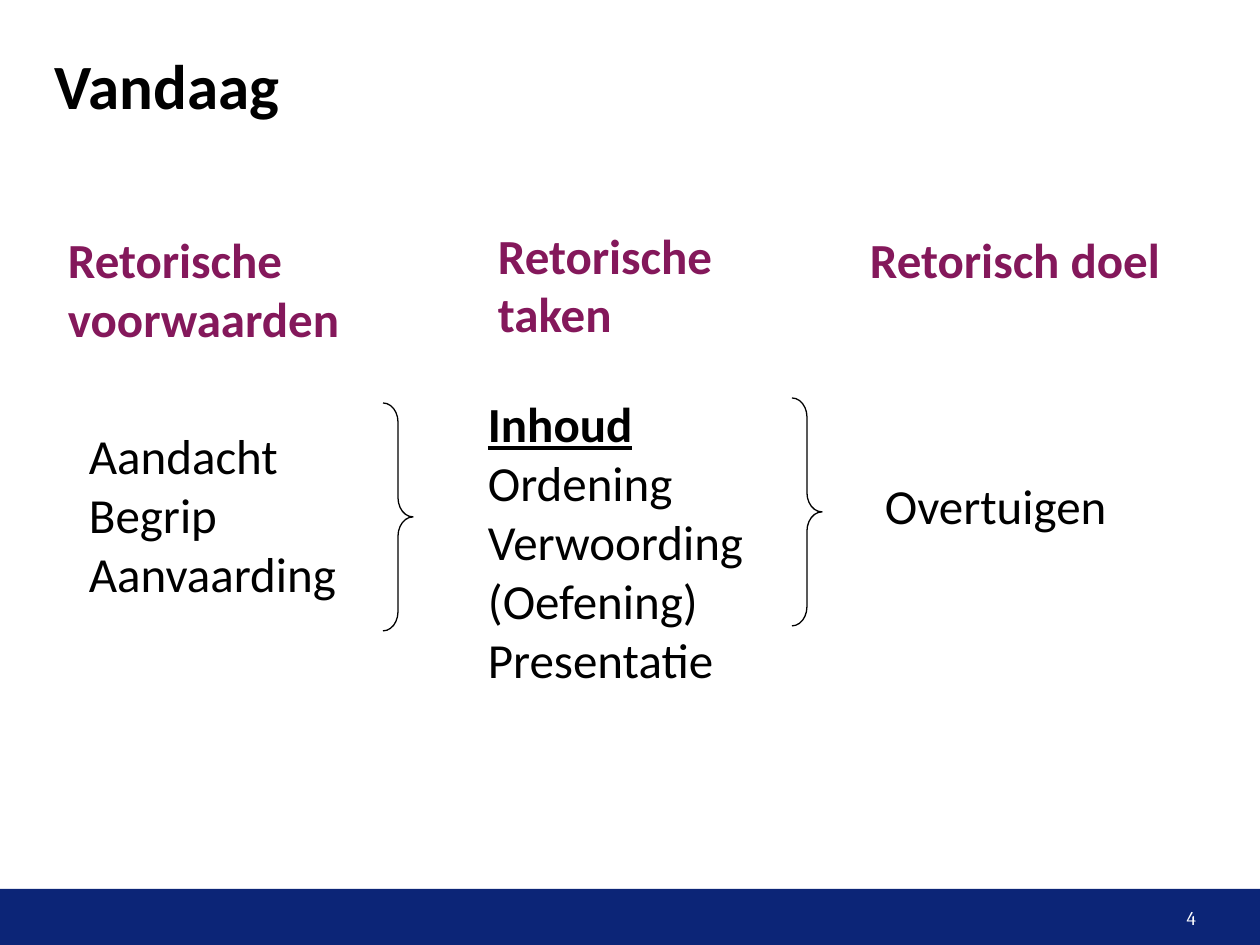
from pptx import Presentation
from pptx.dml.color import RGBColor
from pptx.enum.shapes import MSO_SHAPE
from pptx.enum.text import MSO_ANCHOR, PP_ALIGN
from pptx.util import Pt

PX = 914400 // 126
RECTANGLE, BRACE = MSO_SHAPE.RECTANGLE, MSO_SHAPE.RIGHT_BRACE
TOP, MIDDLE = MSO_ANCHOR.TOP, MSO_ANCHOR.MIDDLE
LEFT, RIGHT = PP_ALIGN.LEFT, PP_ALIGN.RIGHT
COLORS = {"black": "000000", "white": "FFFFFF", "navy": "0C2577", "plum": "84185B"}

deck = Presentation()
deck.slide_width, deck.slide_height = 1260 * PX, 945 * PX
page = deck.slides.add_slide(deck.slide_layouts[6])


def color(name):
    return RGBColor.from_string(COLORS[name])


def add_text(text, left, top, width, height, size=28, font="Calibri", fill="black",
             bold=False, underlined=None, align=LEFT, anchor=TOP, inset=(13, 6)):
    box = page.shapes.add_textbox(left * PX, top * PX, width * PX, height * PX)
    frame = box.text_frame
    frame.word_wrap = True
    frame.vertical_anchor = anchor
    frame.margin_left = frame.margin_right = inset[0] * PX
    frame.margin_top = frame.margin_bottom = inset[1] * PX
    for index, line in enumerate(text.split("\n")):
        para = frame.add_paragraph() if index else frame.paragraphs[0]
        para.alignment = align
        span = para.add_run()
        span.text = line
        span.font.name, span.font.size = font, Pt(size)
        span.font.color.rgb = color(fill)
        span.font.bold = bold or line == underlined
        span.font.underline = line == underlined


# Footer bar and page number
bar = page.shapes.add_shape(RECTANGLE, 0, 889 * PX, 1260 * PX, 56 * PX)
bar.shadow.inherit = False
bar.fill.solid()
bar.fill.fore_color.rgb = color("navy")
bar.line.fill.background()
add_text("4", 921, 889, 284, 58, size=11, font="Cambria", fill="white",
         align=RIGHT, anchor=MIDDLE, inset=(9, 5))

# Title
add_text("Vandaag", 55, 55, 1148, 59, size=36, bold=True, anchor=MIDDLE, inset=(0, 0))

# Column headings
for heading, left, top, width, height in [
    ("Retorische\nvoorwaarden", 55, 224, 300, 131),
    ("Retorische\ntaken", 485, 219, 291, 131),
    ("Retorisch doel", 857, 224, 319, 72),
]:
    add_text(heading, left, top, width, height, fill="plum", bold=True)

# Column contents
for items, left, top, width, height in [
    ("Aandacht\nBegrip\nAanvaarding", 76, 420, 275, 190),
    ("Inhoud\nOrdening\nVerwoording\n(Oefening)\nPresentatie", 475, 388, 284, 308),
    ("Overtuigen", 872, 470, 287, 72),
]:
    add_text(items, left, top, width, height, underlined="Inhoud")

# Braces leading from one column to the next
for left, top in [(383, 403), (792, 398)]:
    brace = page.shapes.add_shape(BRACE, left * PX, top * PX, 30 * PX, 228 * PX)
    brace.shadow.inherit = False
    brace.adjustments[0] = 0.64
    brace.fill.background()
    brace.line.color.rgb = color("black")
    brace.line.width = Pt(0.75)

deck.save("out.pptx")
